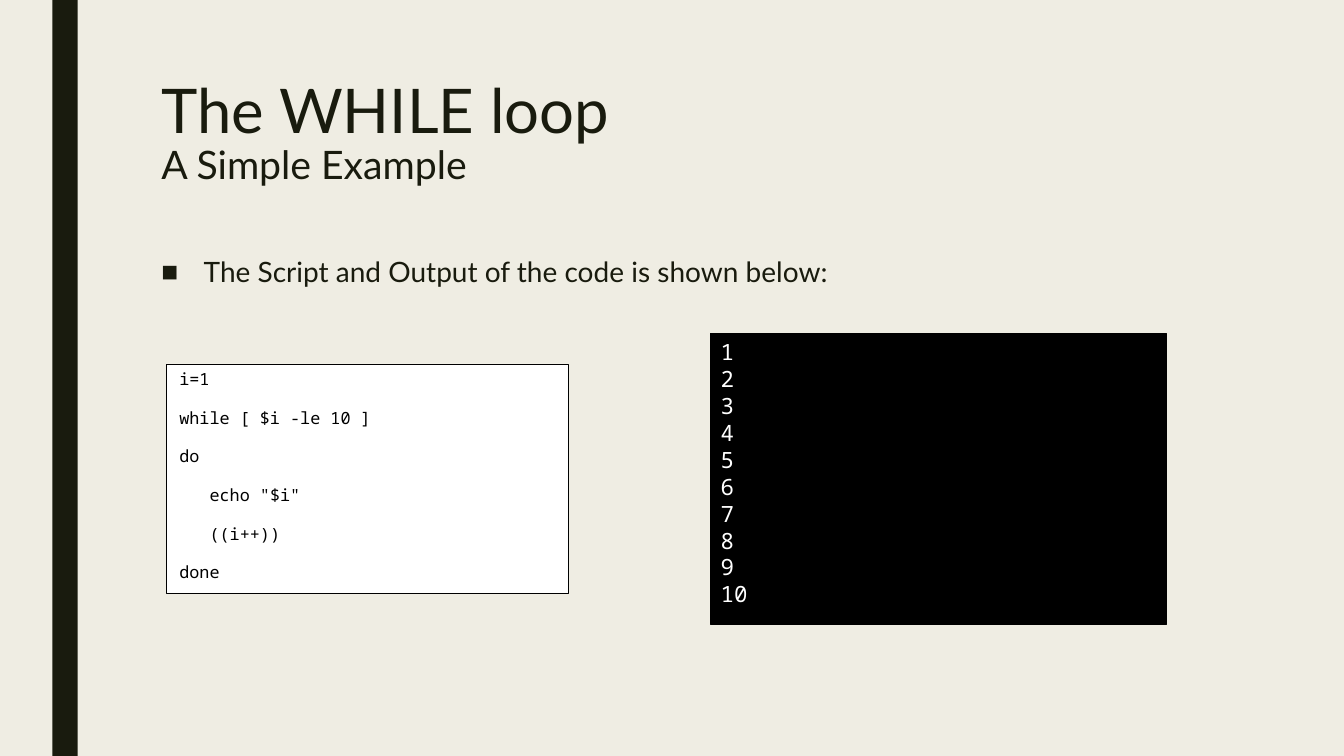
from lxml.etree import SubElement
from pptx import Presentation
from pptx.dml.color import RGBColor
from pptx.enum.shapes import MSO_SHAPE
from pptx.enum.text import MSO_ANCHOR, MSO_AUTO_SIZE, PP_ALIGN
from pptx.oxml.ns import qn
from pptx.util import Pt

PX = 9144  # 100 px to the inch
INK = RGBColor(0x19, 0x1B, 0x0E)
SAND = RGBColor(0xEF, 0xED, 0xE3)
WHITE = RGBColor(0xFF, 0xFF, 0xFF)
BLACK = RGBColor(0, 0, 0)
SANS, MONO = "Lato", "Noto Sans Mono"


class Deck:
    def __init__(self, width, height):
        self.prs = Presentation()
        self.prs.slide_width, self.prs.slide_height = width * PX, height * PX
        self.slide = self.prs.slides.add_slide(self.prs.slide_layouts[1])
        fill = self.slide.background.fill
        fill.solid()
        fill.fore_color.rgb = SAND

    def place(self, shape, box):
        for name, value in zip(("left", "top", "width", "height"), box):
            setattr(shape, name, value * PX)
        form = {"word_wrap": True, "auto_size": MSO_AUTO_SIZE.NONE,
                "vertical_anchor": MSO_ANCHOR.TOP}
        for name, value in form.items():
            setattr(shape.text_frame, name, value)
        return shape.text_frame

    def run(self, para, text, size, face, color):
        run = para.add_run()
        run.text = text
        for name, value in {"size": Pt(size), "name": face}.items():
            setattr(run.font, name, value)
        run.font.color.rgb = color

    def style(self, para, form, indent=0, hang=0):
        for name, value in form.items():
            setattr(para, name, value)
        props = para._p.get_or_add_pPr()
        props.set("marL", str(indent * PX))
        props.set("indent", str(-hang * PX))
        return props

    def title(self, box, lines):
        para = self.place(self.slide.shapes.title, box).paragraphs[0]
        self.style(para, {"alignment": PP_ALIGN.LEFT, "line_spacing": 0.89})
        for i, (text, size) in enumerate(lines):
            if i:
                para.add_line_break()
            self.run(para, text, size, SANS, INK)

    def body(self, box, text):
        para = self.place(self.slide.placeholders[1], box).paragraphs[0]
        form = {"line_spacing": 0.94, "space_before": Pt(10), "space_after": Pt(2)}
        props = self.style(para, form, 42, 42)
        SubElement(props, qn("a:buChar")).set("char", "■")
        self.run(para, text, 20, SANS, INK)

    def rect(self, box, color, line=None):
        shape = self.slide.shapes.add_shape(
            MSO_SHAPE.RECTANGLE, *(n * PX for n in box))
        shape.shadow.inherit = False
        shape.fill.solid()
        shape.fill.fore_color.rgb = color
        if line is None:
            shape.line.fill.background()
        else:
            shape.line.color.rgb = line
            shape.line.width = Pt(0.5)
        return shape

    def code(self, box, fill, color, size, lines, form):
        frame = self.place(self.rect(box, fill, BLACK), box)
        for i, (text, indent) in enumerate(lines):
            para = frame.add_paragraph() if i else frame.paragraphs[0]
            self.style(para, {"line_spacing": Pt(size * 1.2), **form}, indent)
            self.run(para, text, size, MONO, color)


def main():
    deck = Deck(1333, 750)

    # Side bar
    deck.rect((52, 0, 25, 750), INK)

    # Heading and bullet
    deck.title((150, 75, 1050, 162),
               [("The WHILE loop", 44), ("A Simple Example", 28)])
    deck.body((150, 250, 1050, 392),
              "The Script and Output of the code is shown below:")

    # Script
    script = [("i=1", 3), ("while [ $i -le 10 ]", 3), ("do", 3),
              ('echo "$i"', 33), ("((i++))", 33), ("done", 3)]
    deck.code((165, 361, 399, 228), WHITE, BLACK, 12, script,
              {"alignment": PP_ALIGN.JUSTIFY, "space_before": Pt(6),
               "space_after": Pt(7.2)})

    # Output
    deck.code((705, 331, 452, 288), BLACK, WHITE, 16,
              [(str(n), 0) for n in range(1, 11)],
              {"alignment": PP_ALIGN.LEFT})

    deck.prs.save("out.pptx")


if __name__ == "__main__":
    main()
